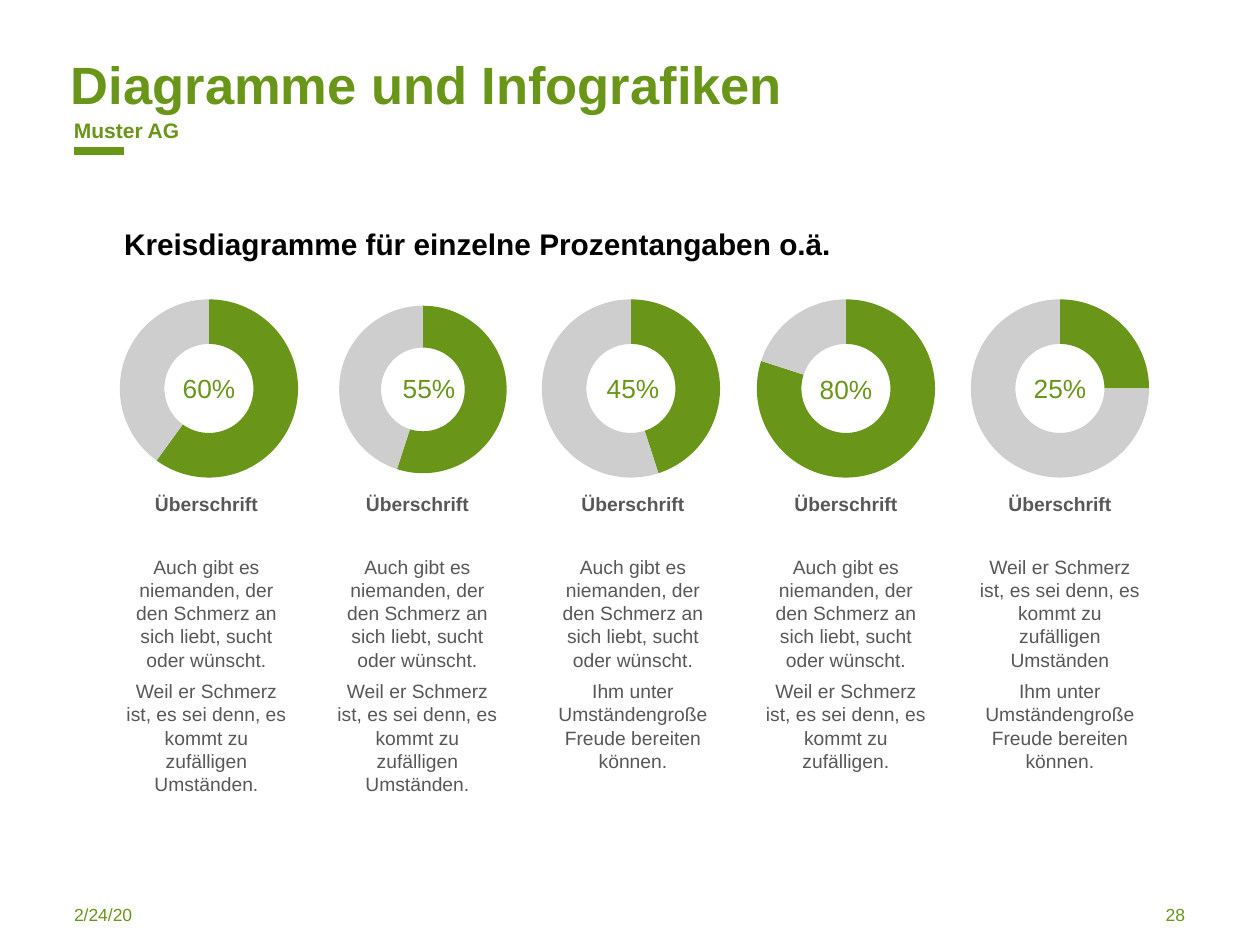
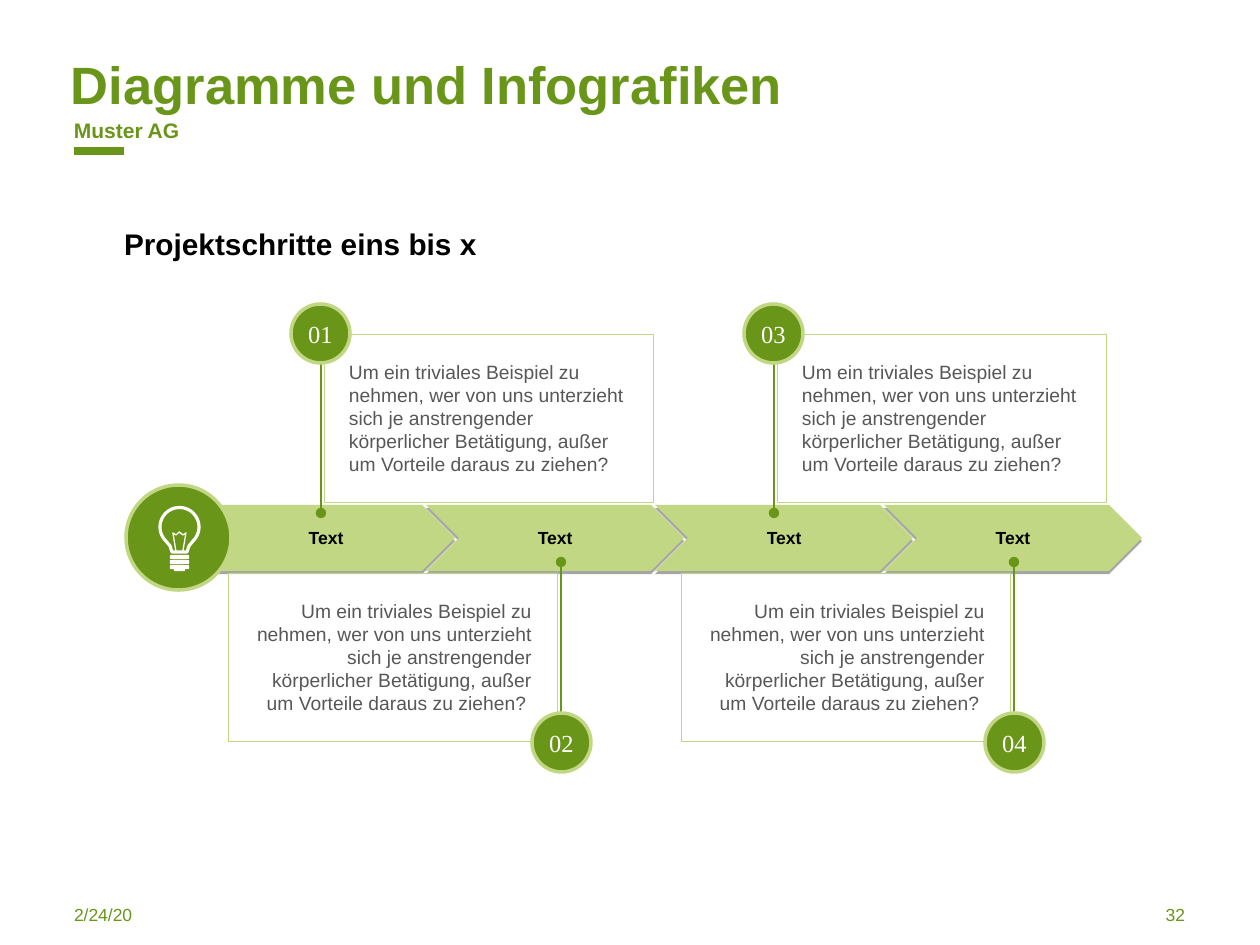
from math import cos, radians, sin

from lxml.etree import SubElement
from pptx import Presentation
from pptx.chart.data import CategoryChartData
from pptx.dml.color import RGBColor
from pptx.enum.chart import XL_CHART_TYPE
from pptx.enum.shapes import MSO_CONNECTOR, MSO_SHAPE
from pptx.enum.text import MSO_ANCHOR, PP_ALIGN
from pptx.oxml import parse_xml
from pptx.oxml.ns import nsdecls, qn
from pptx.util import Pt

# Content
TITLE = "Diagramme und Infografiken"
COMPANY = "Muster AG"
DATE = "2/24/20"
DONUT_PAGE = ("Kreisdiagramme für einzelne Prozentangaben o.ä.", "28")
STEPS_PAGE = ("Projektschritte eins bis x", "32")

HEADING = "Überschrift"
NOBODY = "Auch gibt es niemanden, der den Schmerz an sich liebt, sucht oder wünscht."
PAIN = "Weil er Schmerz ist, es sei denn, es kommt zu zufälligen"
JOY = "Ihm unter Umständengroße Freude bereiten können."
# percent, chart left, percent label (left, top), text (left, width), two paragraphs
DONUTS = [
    (60, 76, (167, 346), (124, 165), (NOBODY, PAIN + " Umständen.")),
    (55, 286, (387, 346), (337, 161), (NOBODY, PAIN + " Umständen.")),
    (45, 498, (591, 346), (553, 160), (NOBODY, JOY)),
    (80, 713, (804, 347), (765, 162), (NOBODY, PAIN + ".")),
    (25, 927, (1018, 346), (979, 162), (PAIN + " Umständen", JOY)),
]
SMALLER_PERCENT = 55
SMALLER_PLOT = {"x": 0.2, "y": 0.11, "w": 0.63, "h": 0.79}

QUESTION = ("Um ein triviales Beispiel zu nehmen, wer von uns unterzieht sich je "
            "anstrengender körperlicher Betätigung, außer um Vorteile daraus zu ziehen?")
STEPS = ["01", "02", "03", "04"]
STAGES = ["Text"] * 4

# Look
GREEN, LIGHT_GREEN = "699519", "C1D783"
GREY, SILVER, BLACK, WHITE = "575757", "CECECE", "000000", "FFFFFF"
HAIRLINE = 0.1
PX_PER_INCH = 126


def px(value):
    return round(value * 914400 / PX_PER_INCH)


def box(*lengths):
    return [px(length) for length in lengths]


def rgb(color):
    return RGBColor.from_string(color)


def write(shape, paragraphs, size=11, color=GREY, bold=False, font="Arial",
          align=PP_ALIGN.LEFT, anchor=MSO_ANCHOR.TOP, inset=(0, 0)):
    """Paragraphs are plain strings or (text, bold, space before in points)."""
    frame = shape.text_frame
    frame.word_wrap = True
    frame.vertical_anchor = anchor
    frame.margin_left = frame.margin_right = px(inset[0])
    frame.margin_top = frame.margin_bottom = px(inset[1])
    for number, item in enumerate(paragraphs):
        text, heavy, before = (item, bold, 0) if isinstance(item, str) else item
        paragraph = frame.add_paragraph() if number else frame.paragraphs[0]
        paragraph.alignment = align
        paragraph.space_before = Pt(before)
        run = paragraph.add_run()
        run.text = text
        run.font.name, run.font.size, run.font.bold = font, Pt(size), heavy
        run.font.color.rgb = rgb(color)


def add_text(slide, place, *paragraphs, **style):
    write(slide.shapes.add_textbox(*box(*place)), paragraphs, **style)


def paint(shape, fill=None, line=None, width=HAIRLINE):
    shape.shadow.inherit = False
    if fill:
        shape.fill.solid()
        shape.fill.fore_color.rgb = rgb(fill)
    else:
        shape.fill.background()
    if line:
        shape.line.color.rgb = rgb(line)
        shape.line.width = Pt(width)
    else:
        shape.line.fill.background()
    return shape


def add_shape(slide, kind, place, **look):
    return paint(slide.shapes.add_shape(kind, *box(*place)), **look)


def add_line(slide, start, end, width, dot=False):
    line = slide.shapes.add_connector(MSO_CONNECTOR.STRAIGHT, *box(*start, *end))
    line.line.color.rgb = rgb(GREEN)
    line.line.width = Pt(width)
    if dot:
        SubElement(line.line._get_or_add_ln(), qn("a:tailEnd"), type="oval")
    SubElement(line._element.spPr, qn("a:effectLst"))


def add_page(deck, subtitle, number):
    slide = deck.slides.add_slide(deck.slide_layouts[6])
    add_text(slide, (74, 118, 556, 25), COMPANY, size=12, color=GREEN, bold=True,
             anchor=MSO_ANCHOR.BOTTOM)
    add_line(slide, (74, 151), (124, 151), 5)
    add_text(slide, (71, 52, 926, 63), TITLE, size=30, color=GREEN, bold=True)
    add_text(slide, (74, 904, 282, 32), DATE, size=10, color=GREEN)
    add_text(slide, (903, 904, 282, 32), number, size=10, color=GREEN,
             align=PP_ALIGN.RIGHT)
    add_text(slide, (124, 226, 1012, 37), subtitle, size=17, color=BLACK, bold=True)
    return slide


def add_donut(slide, percent, left):
    data = CategoryChartData()
    data.categories = ["1", "2"]
    data.add_series("Series 1", (percent, 100 - percent))
    chart = slide.shapes.add_chart(
        XL_CHART_TYPE.DOUGHNUT, *box(left, 282, 266, 213), data).chart
    chart.has_title = chart.has_legend = False
    chart.font.name, chart.font.size = "Arial", Pt(10)
    chart.font.color.rgb = rgb(BLACK)
    chart.plots[0].vary_by_categories = True
    for index, color in enumerate((GREEN, SILVER)):
        slice_format = chart.plots[0].series[0].points[index].format
        slice_format.fill.solid()
        slice_format.fill.fore_color.rgb = rgb(color)
        slice_format.line.fill.background()
    if percent == SMALLER_PERCENT:
        area = chart._chartSpace.chart.plotArea
        for old in area.findall(qn("c:layout")):
            area.remove(old)
        sizes = "".join(f'<c:{key} val="{val}"/>' for key, val in SMALLER_PLOT.items())
        area.insert(0, parse_xml(
            f'<c:layout {nsdecls("c")}><c:manualLayout><c:layoutTarget val="outer"/>'
            f'<c:xMode val="edge"/><c:yMode val="edge"/>{sizes}'
            '</c:manualLayout></c:layout>'))


def build_donut_page(deck):
    slide = add_page(deck, *DONUT_PAGE)
    for percent, left, label, (text_left, text_width), (first, second) in DONUTS:
        add_donut(slide, percent, left)
        write(add_shape(slide, MSO_SHAPE.OVAL, (*label, 84, 84)), [f"{percent}%"],
              size=15, color=GREEN, align=PP_ALIGN.CENTER, anchor=MSO_ANCHOR.MIDDLE)
        add_text(slide, (text_left, 492, text_width, 304), (HEADING, True, 0),
                 (first, False, 23), (second, False, 5), align=PP_ALIGN.CENTER)


def add_stage(slide, left, text):
    stage = add_shape(slide, MSO_SHAPE.CHEVRON, (left, 505, 258, 66), fill=LIGHT_GREEN)
    effects = stage._element.spPr.find(qn("a:effectLst"))
    shadow = SubElement(effects, qn("a:outerShdw"), dist=str(Pt(1.8)), dir="5400000",
                        algn="t", rotWithShape="0")
    shade = SubElement(shadow, qn("a:srgbClr"), val=BLACK)
    SubElement(shade, qn("a:alpha"), val="35000")
    write(stage, [text], size=10, color=BLACK, bold=True, align=PP_ALIGN.CENTER,
          anchor=MSO_ANCHOR.MIDDLE, inset=(13, 6))


def add_step(slide, index, number):
    pair, below = divmod(index, 2)
    shift = 453 * pair
    if below:
        card, badge, stem = (228, 573), (532, 713), (561, 712, 562)
        text, align = QUESTION + " ", PP_ALIGN.RIGHT
    else:
        card, badge, stem = (324, 334), (291, 304), (321, 364, 513)
        text, align = QUESTION, PP_ALIGN.LEFT
    write(add_shape(slide, MSO_SHAPE.RECTANGLE, (card[0] + shift, card[1], 329, 168),
                    line=LIGHT_GREEN),
          [text], align=align, anchor=MSO_ANCHOR.MIDDLE, inset=(25, 30))
    x, start, end = stem
    add_line(slide, (x + shift, start), (x + shift, end), 0.75, dot=True)
    write(add_shape(slide, MSO_SHAPE.OVAL, (badge[0] + shift, badge[1], 59, 59),
                    fill=GREEN, line=LIGHT_GREEN, width=2),
          [number], size=14, color=WHITE, font="Times New Roman",
          align=PP_ALIGN.CENTER, anchor=MSO_ANCHOR.MIDDLE)


def add_outline(slide, points, width, close):
    builder = slide.shapes.build_freeform(*box(*points[0]))
    builder.add_line_segments([box(*point) for point in points[1:]], close=close)
    paint(builder.convert_to_shape(), line=WHITE, width=width)


def add_bulb(slide):
    add_shape(slide, MSO_SHAPE.OVAL, (126, 485, 105, 105), fill=GREEN,
              line=LIGHT_GREEN, width=2)
    # Glass: an arc from the lower left to the lower right, closed by the neck
    glass = [(179.5 + 19.5 * cos(radians(angle)), 527 + 19.5 * sin(radians(angle)))
             for angle in range(135, 406, 6)]
    neck = [(189, 546), (187, 552), (172, 552), (170, 546)]
    add_outline(slide, glass + neck, 1.8, True)
    filament = [(176, 551), (173, 533), (176, 535), (179.5, 532), (183, 535),
                (186, 533), (183, 551)]
    add_outline(slide, filament, 0.75, False)
    # Screw base
    for left, top, width in ((170, 555, 19), (170, 560, 19), (170, 565, 19),
                             (174, 567, 11)):
        add_shape(slide, MSO_SHAPE.ROUNDED_RECTANGLE, (left, top, width, 4), fill=WHITE)


def build_steps_page(deck):
    slide = add_page(deck, *STEPS_PAGE)
    for index, text in enumerate(STAGES):
        add_stage(slide, 197 + 229 * index, text)
    for index, number in enumerate(STEPS):
        add_step(slide, index, number)
    add_bulb(slide)


def main():
    deck = Presentation()
    deck.slide_width, deck.slide_height = box(1260, 945)
    build_donut_page(deck)
    build_steps_page(deck)
    deck.save("out.pptx")


if __name__ == "__main__":
    main()
